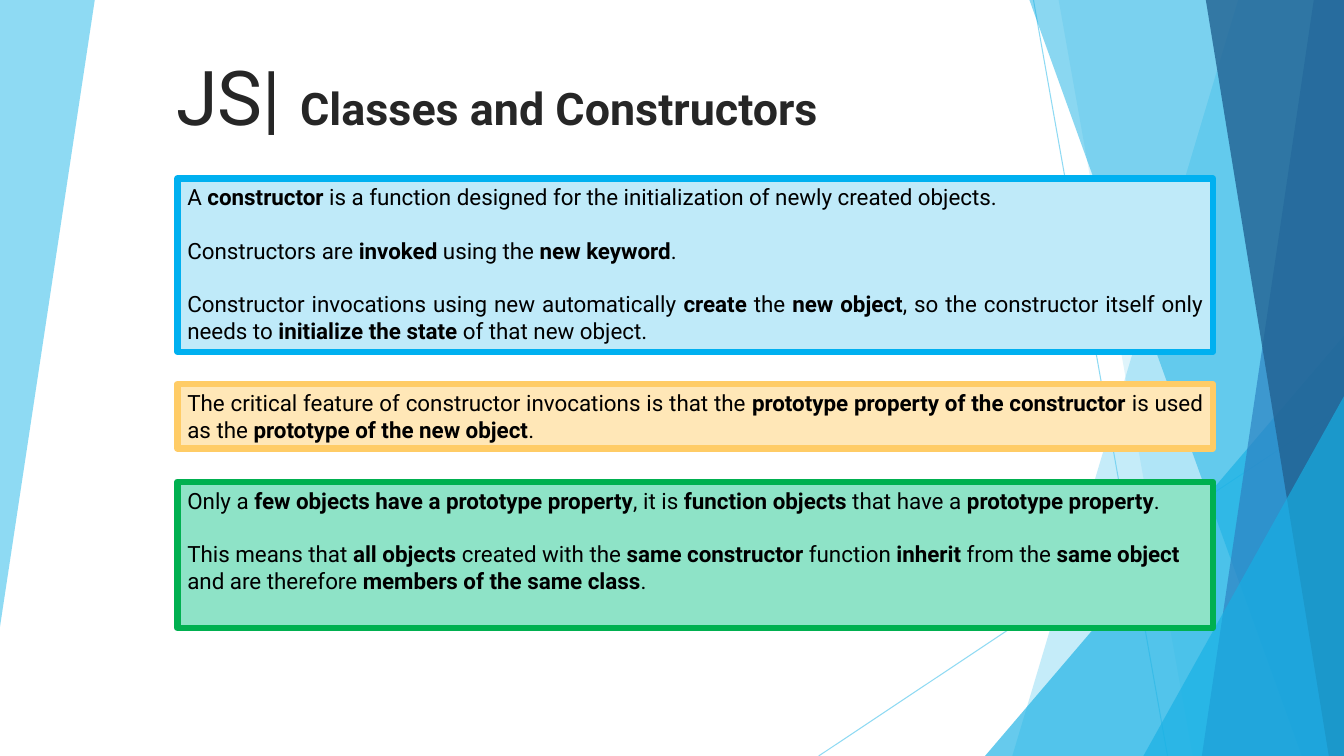
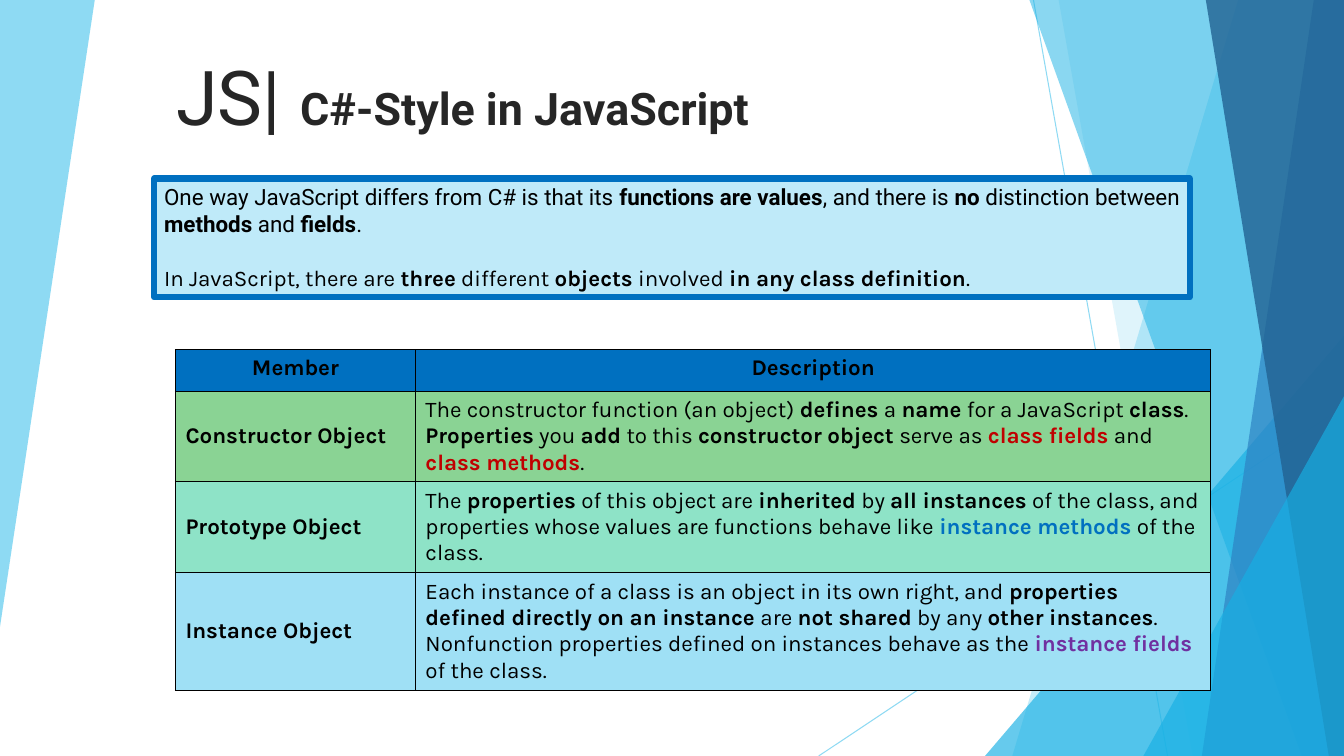
import dataclasses

import lxml.etree
import pptx
import pptx.dml.color
import pptx.enum.shapes
import pptx.enum.text
import pptx.oxml
import pptx.oxml.ns
import pptx.util

Inches, Pt = pptx.util.Inches, pptx.util.Pt
RGB = pptx.dml.color.RGBColor.from_string
SHAPE = pptx.enum.shapes.MSO_SHAPE
ALIGN = pptx.enum.text.PP_ALIGN
ANCHOR = pptx.enum.text.MSO_ANCHOR
qn = pptx.oxml.ns.qn


@dataclasses.dataclass(frozen=True)
class Theme:
    font: str = "Roboto"
    alt_font: str = "Karla"
    prefix_size: int = 54
    title_size: int = 32
    body_size: int = 16
    para_gap: int = 19
    box_line: float = 4.5
    hair_line: float = 0.75
    cell_line: int = 1
    title: str = "262626"
    text: str = "000000"
    pale_sky: str = "BFEAF9"
    light_sky: str = "9FE0F5"
    sky: str = "5FCBEF"
    cyan: str = "17B0E4"
    steel: str = "2E83C3"
    navy: str = "226292"
    azure: str = "00B0F0"
    blue: str = "0070C0"
    mint: str = "8EE3C7"
    leaf: str = "8AD394"
    green: str = "00B050"
    cream: str = "FFE7B7"
    amber: str = "FFCC66"
    red: str = "C00000"
    purple: str = "7030A0"


T = Theme()
SLIDE = (0, 0, 13.33, 7.5)

# Phrases that take a colour of their own when bold
ACCENTS = {
    "class fields": T.red,
    "class methods": T.red,
    "instance methods": T.blue,
    "instance fields": T.purple,
}


# Shared helpers
def set_alpha(color_parent, percent):
    clr = color_parent.find(".//" + qn("a:srgbClr"))
    lxml.etree.SubElement(clr, qn("a:alpha"), val=str(percent * 1000))


def paint(sp, color, alpha=None, line=None):
    sp.shadow.inherit = False
    sp.fill.solid()
    sp.fill.fore_color.rgb = RGB(color)
    if alpha:
        set_alpha(sp.fill._xPr.find(qn("a:solidFill")), alpha)
    if line:
        sp.line.color.rgb = RGB(line)
        sp.line.width = Pt(T.box_line)
    else:
        sp.line.fill.background()


def add_run(p, text, size, bold=False, color=T.text, font=T.font):
    r = p.add_run()
    r.text = text
    r.font.name = font
    r.font.size = Pt(size)
    r.font.bold = bold
    r.font.color.rgb = RGB(color)


def write_paragraph(p, marked, font=T.font):
    """Text between asterisks is bold."""
    for i, part in enumerate(marked.split("*")):
        if part:
            bold = i % 2 == 1
            color = ACCENTS.get(part, T.text) if bold else T.text
            add_run(p, part, T.body_size, bold, color, font)


def write_paragraphs(tf, paragraphs, font=T.font, align=ALIGN.LEFT, gap=0):
    """A paragraph is marked text, or a pair of marked text and font."""
    for i, item in enumerate(paragraphs):
        marked, face = (item, font) if isinstance(item, str) else item
        p = tf.add_paragraph() if i else tf.paragraphs[0]
        p.alignment = align
        if i and gap:
            p.space_before = Pt(gap)
        write_paragraph(p, marked, face)


# Backdrop of slanted facets
def add_backdrop(s, box):
    x, y, w, h = box
    right, bottom = x + w, y + h
    shapes = s.shapes.add_group_shape().shapes

    def polygon(points, color, alpha):
        pts = [(Inches(px), Inches(py)) for px, py in points]
        fb = shapes.build_freeform(*pts[0])
        fb.add_line_segments(pts[1:], close=True)
        paint(fb.convert_to_shape(), color, alpha)

    def hairline(x1, y1, x2, y2):
        ln = shapes.add_connector(
            pptx.enum.shapes.MSO_CONNECTOR.STRAIGHT,
            Inches(x1), Inches(y1), Inches(x2), Inches(y2))
        ln.line.color.rgb = RGB(T.sky)
        ln.line.width = Pt(T.hair_line)
        set_alpha(ln._element.spPr, 70)
        lxml.etree.SubElement(ln._element.spPr, qn("a:effectLst"))

    def facet(top, foot, color, alpha):
        polygon([(right - top, y), (right, y), (right, bottom),
                 (right - foot, bottom)], color, alpha)

    def corner(width, height):
        sp = shapes.add_shape(
            SHAPE.ISOSCELES_TRIANGLE, Inches(right - width),
            Inches(bottom - height), Inches(width), Inches(height))
        sp.adjustments[0] = 1.0
        paint(sp, T.cyan, 66)

    polygon([(x, y), (x + 0.94, y), (x, y + 6.22)], T.sky, 70)
    hairline(right - 3.08, y, right - 1.75, bottom)
    hairline(right, y + 4.03, right - 5.21, bottom)
    facet(1.05, 3.29, T.sky, 36)
    facet(2.83, 1.5, T.sky, 20)
    corner(3.56, 4.17)
    facet(3.12, 0.42, T.cyan, 50)
    facet(0.3, 1.41, T.steel, 70)
    facet(1.37, 0.15, T.navy, 80)
    corner(1.99, 3.57)


# Title with its large prefix
def add_title(s, box, text):
    tf = s.shapes.add_textbox(*map(Inches, box)).text_frame
    tf.word_wrap = True
    tf.vertical_anchor = ANCHOR.BOTTOM
    p = tf.paragraphs[0]
    add_run(p, "JS| ", T.prefix_size, color=T.title)
    add_run(p, text, T.title_size, True, T.title)


# Framed text panel
def add_panel(s, box, fill, line, paragraphs, align=ALIGN.JUSTIFY):
    sp = s.shapes.add_shape(SHAPE.RECTANGLE, *map(Inches, box))
    paint(sp, fill, line=line)
    tf = sp.text_frame
    tf.word_wrap = True
    tf.vertical_anchor = ANCHOR.TOP
    write_paragraphs(tf, paragraphs, align=align, gap=T.para_gap)


# Table of members
def border_cell(cell):
    tcPr = cell._tc.get_or_add_tcPr()
    for i, side in enumerate(("a:lnL", "a:lnR", "a:lnT", "a:lnB")):
        ln = lxml.etree.Element(qn(side), w=str(Pt(T.cell_line)))
        fill = lxml.etree.SubElement(ln, qn("a:solidFill"))
        lxml.etree.SubElement(fill, qn("a:srgbClr"), val=T.text)
        tcPr.insert(i, ln)


def add_member_table(s, box, first_col, heights, rows):
    x, y, w, h = box
    table = s.shapes.add_table(
        len(rows), 2, Inches(x), Inches(y), Inches(w), Inches(h)).table
    for col, width in zip(table.columns, (first_col, w - first_col)):
        col.width = Inches(width)
    for i, (fill, *texts) in enumerate(rows):
        table.rows[i].height = Inches(heights[i])
        for j, paragraphs in enumerate(texts):
            cell = table.cell(i, j)
            cell.fill.solid()
            cell.fill.fore_color.rgb = RGB(fill)
            cell.vertical_anchor = ANCHOR.MIDDLE if i else ANCHOR.TOP
            write_paragraphs(cell.text_frame, paragraphs, T.alt_font,
                             ALIGN.LEFT if i else ALIGN.CENTER)
            border_cell(cell)


# Slides
def new_slide(prs, title):
    s = prs.slides.add_slide(prs.slide_layouts[6])
    add_backdrop(s, SLIDE)
    add_title(s, (1.65, 0.38, 10.45, 1.06), title)
    return s


def constructors_slide(prs):
    s = new_slide(prs, "Classes and Constructors")
    left, width = 1.76, 10.27
    add_panel(s, (left, 1.77, width, 1.72), T.pale_sky, T.azure, [
        "A *constructor* is a function designed for the initialization "
        "of newly created objects. ",
        "Constructors are *invoked* using the *new keyword*. ",
        "Constructor invocations using new automatically *create* the "
        "*new object*, so the constructor itself only needs to "
        "*initialize the state* of that new object.",
    ])
    add_panel(s, (left, 3.81, width, 0.64), T.cream, T.amber, [
        "The critical feature of constructor invocations is that the "
        "*prototype property of the constructor* is used as the "
        "*prototype of the new object*.",
    ])
    add_panel(s, (left, 4.78, width, 1.45), T.mint, T.green, [
        "Only a *few objects have a prototype property*, it is "
        "*function objects* that have a *prototype property*.",
        "This means that *all objects* created with the "
        "*same constructor* function *inherit* from the *same object* "
        "and are therefore *members of the same class*.",
    ], ALIGN.LEFT)


def style_slide(prs):
    s = new_slide(prs, "C#-Style in JavaScript")
    add_panel(s, (1.53, 1.77, 10.27, 1.18), T.pale_sky, T.blue, [
        "One way JavaScript differs from C# is that its "
        "*functions are values*, and there is *no* distinction between "
        "*methods* and *fields*. ",
        ("In JavaScript, there are *three* different *objects* involved "
         "*in any class definition*.", T.alt_font),
    ])
    add_member_table(s, (1.74, 3.47, 10.27, 3.37), 2.38, (0.41, 0.9, 0.9, 1.16), [
        (T.blue, ["*Member*"], ["*Description*"]),
        (T.leaf, ["*Constructor Object*"], [
            "The constructor function (an object) *defines* a *name* for a "
            "JavaScript *class*. *Properties* you *add* to this "
            "*constructor object* serve as *class fields* and "
            "*class methods*."]),
        (T.mint, ["*Prototype Object*"], [
            "The *properties* of this object are *inherited* by "
            "*all instances* of the class, and properties whose values are "
            "functions behave like *instance methods* of the class."]),
        (T.light_sky, ["*Instance Object*"], [
            "Each instance of a class is an object in its own right, and "
            "*properties defined directly on an instance* are *not shared* "
            "by any *other instances*.",
            "Nonfunction properties defined on instances behave as the "
            "*instance fields* of the class."]),
    ])


def main():
    prs = pptx.Presentation()
    prs.slide_width, prs.slide_height = Inches(SLIDE[2]), Inches(SLIDE[3])
    constructors_slide(prs)
    style_slide(prs)
    prs.save("out.pptx")


if __name__ == "__main__":
    main()
